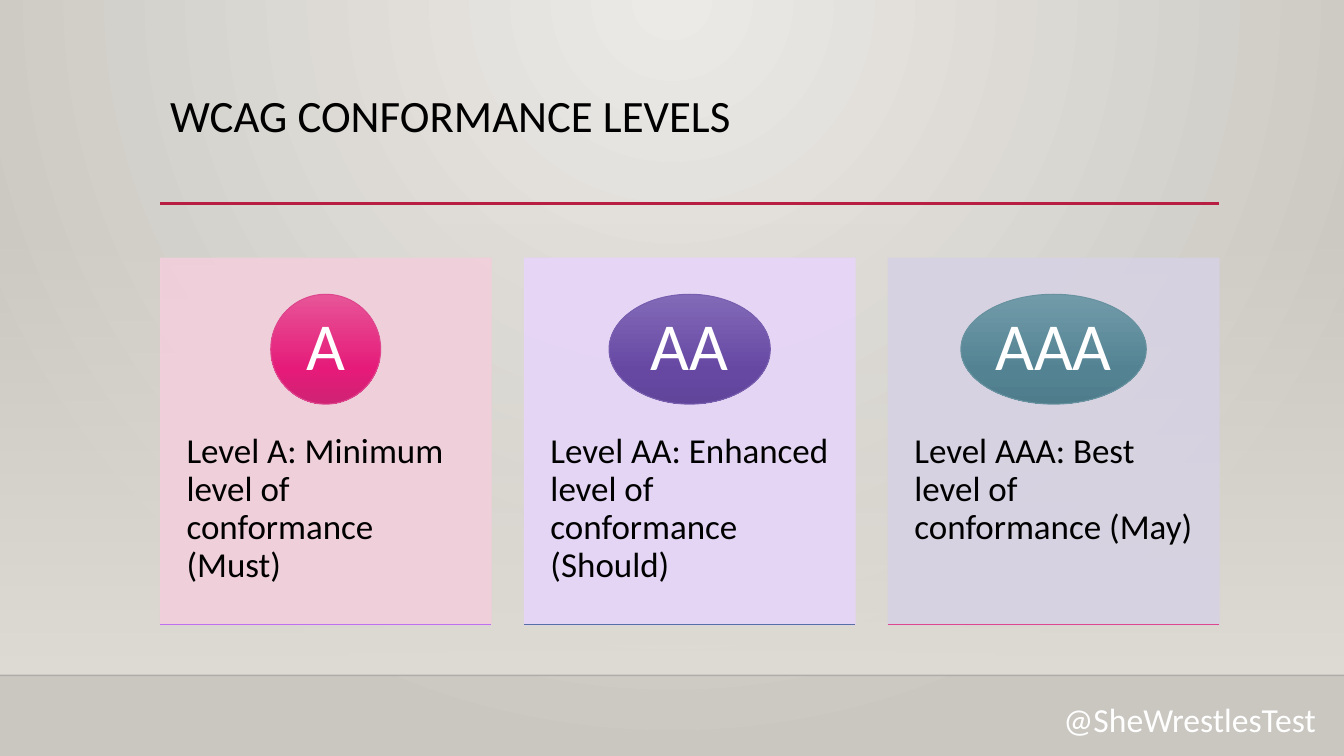
from dataclasses import dataclass

from lxml.etree import SubElement
from pptx import Presentation
from pptx.dml.color import RGBColor
from pptx.enum.shapes import MSO_CONNECTOR, MSO_SHAPE
from pptx.enum.text import MSO_ANCHOR, PP_ALIGN
from pptx.oxml.ns import qn
from pptx.util import Inches, Pt

WIDTH, HEIGHT = Inches(13.33), Inches(7.5)
FONT = "Calibri"
COLORS = {
    "text": "000000", "light": "FFFFFF", "rule": "B71E42", "floor": "000001",
    "back_in": "ECEAE7", "back_out": "CAC7C1", "wall": "DFDBD5",
    "rose": "F2CFDB", "lilac": "E7D5F9", "mist": "D7D2E3",
    "pink_top": "E75597", "pink_mid": "E51A79", "pink_end": "CF2374", "pink": "DE478E",
    "violet_top": "836AB8", "violet_mid": "6648A3", "violet_end": "60459A", "violet": "795FAF",
    "teal_top": "729BA9", "teal_mid": "538393", "teal_end": "4F7C8B", "teal": "6892A0",
    "orchid": "BC72F0", "blue": "586EA6",
}

# Shares of the slide, in percent
LEFT, CONTENT_WIDTH = 11.93, 78.77
CARD_WIDTH, CARD_PITCH, CARD_TOP, CARD_HEIGHT = 24.61, 27.08, 34.13, 48.53
BADGE_TOP, BADGE_HEIGHT = 38.93, 14.53
WALL_TOP, FLOOR_TOP, RULE_TOP = 29.47, 89.33, 26.93


@dataclass(frozen=True)
class Level:
    grade: str
    summary: str
    card: str
    badge: str
    edge: str
    badge_width: float


@dataclass(frozen=True)
class Stop:
    position: int
    color: str
    opacity: int = 100


LEVELS = [
    Level("A", "Level A: Minimum level of conformance (Must)", "rose", "pink", "orchid", 8.18),
    Level("AA", "Level AA: Enhanced level of conformance (Should)", "lilac", "violet", "blue", 12),
    Level("AAA", "Level AAA: Best level of conformance (May)", "mist", "teal", "pink", 13.8),
]


def across(share: float) -> int:
    return round(WIDTH * share / 100)


def down(share: float) -> int:
    return round(HEIGHT * share / 100)


def frame(left: float, top: float, width: float, height: float) -> tuple:
    return across(left), down(top), across(width), down(height)


def rgb(name: str) -> RGBColor:
    return RGBColor.from_string(COLORS[name])


def set_opacity(color_xml, percent: int) -> None:
    if percent < 100:
        SubElement(color_xml, qn("a:alpha"), val=str(percent * 1000))


def set_gradient(fill, owner, stops: list, radial: bool = False) -> None:
    fill.gradient()
    gradient = owner.find(".//" + qn("a:gradFill"))
    for child in list(gradient):
        gradient.remove(child)
    stop_list = SubElement(gradient, qn("a:gsLst"))
    for stop in stops:
        mark = SubElement(stop_list, qn("a:gs"), pos=str(stop.position * 1000))
        color = SubElement(mark, qn("a:srgbClr"), val=COLORS[stop.color])
        set_opacity(color, stop.opacity)
    if radial:
        circle = SubElement(gradient, qn("a:path"), path="circle")
        SubElement(circle, qn("a:fillToRect"), l="43000", t="0", r="43000", b="100000")
    else:
        SubElement(gradient, qn("a:lin"), ang="5400000", scaled="0")


def add_rule(slide, left: float, top: float, width: float, color: str,
             weight: float, opacity: int = 100) -> None:
    rule = slide.shapes.add_connector(
        MSO_CONNECTOR.STRAIGHT, across(left), down(top), across(left + width), down(top))
    rule.line.color.rgb = rgb(color)
    rule.line.width = Pt(weight)
    properties = rule.element.spPr
    set_opacity(properties.find(".//" + qn("a:srgbClr")), opacity)
    SubElement(properties, qn("a:effectLst"))


def write(holder, text: str, size: float, color: str, align=PP_ALIGN.LEFT,
          anchor=MSO_ANCHOR.TOP, wrap: bool = True, spacing: float = 0.9) -> None:
    body = holder.text_frame
    body.text = text
    body.word_wrap = wrap
    body.vertical_anchor = anchor
    paragraph = body.paragraphs[0]
    paragraph.alignment = align
    paragraph.line_spacing = spacing
    font = paragraph.runs[0].font
    font.name, font.size, font.color.rgb = FONT, Pt(size), rgb(color)


def set_insets(holder, left: float, top: float, right: float, bottom: float) -> None:
    body = holder.text_frame
    body.margin_left, body.margin_right = across(left), across(right)
    body.margin_top, body.margin_bottom = down(top), down(bottom)


def add_level(slide, level: Level, left: float) -> None:
    # Card with its summary
    card = slide.shapes.add_shape(
        MSO_SHAPE.RECTANGLE, *frame(left, CARD_TOP, CARD_WIDTH, CARD_HEIGHT))
    card.shadow.inherit = False
    card.fill.solid()
    card.fill.fore_color.rgb = card.line.color.rgb = rgb(level.card)
    card.line.width = Pt(0.75)
    for color in card.element.spPr.iter(qn("a:srgbClr")):
        set_opacity(color, 90)
    write(card, level.summary, 25, "text")
    set_insets(card, 1.95, 23.2, 1.95, 5.73)

    # Oval badge with the grade
    badge_left = left + (CARD_WIDTH - level.badge_width) / 2
    badge = slide.shapes.add_shape(
        MSO_SHAPE.OVAL, *frame(badge_left, BADGE_TOP, level.badge_width, BADGE_HEIGHT))
    badge.shadow.inherit = False
    set_gradient(badge.fill, badge.element.spPr, [
        Stop(0, level.badge + "_top"), Stop(69, level.badge + "_mid"),
        Stop(100, level.badge + "_end")])
    badge.line.color.rgb = rgb(level.badge)
    badge.line.width = Pt(0.75)
    write(badge, level.grade, 48, "light", PP_ALIGN.CENTER, MSO_ANCHOR.MIDDLE, wrap=False)
    set_insets(badge, 0, 0, 0, 0)

    # Bottom edge
    add_rule(slide, left, CARD_TOP + CARD_HEIGHT, CARD_WIDTH, level.edge, 0.75)


def main() -> None:
    deck = Presentation()
    deck.slide_width, deck.slide_height = WIDTH, HEIGHT
    slide = deck.slides.add_slide(deck.slide_layouts[6])

    # Backdrop: wall, floor line and title rule
    set_gradient(slide.background.fill, slide.element,
                 [Stop(0, "back_in"), Stop(100, "back_out")], radial=True)
    wall = slide.shapes.add_shape(
        MSO_SHAPE.RECTANGLE, *frame(0, WALL_TOP, 100, FLOOR_TOP - WALL_TOP))
    wall.shadow.inherit = False
    set_gradient(wall.fill, wall.element.spPr, [Stop(0, "wall", 0), Stop(100, "wall")])
    wall.line.fill.background()
    add_rule(slide, 0, FLOOR_TOP, 100, "floor", 1, opacity=20)
    add_rule(slide, LEFT, RULE_TOP, CONTENT_WIDTH, "rule", 2.5)

    # Title
    title = slide.shapes.add_textbox(*frame(LEFT, 11.73, CONTENT_WIDTH, 15.33))
    write(title, "WCAG CONFORMANCE LEVELS", 32, "text")

    # Conformance levels
    for column, level in enumerate(LEVELS):
        add_level(slide, level, LEFT + column * CARD_PITCH)

    # Speaker handle
    handle = slide.shapes.add_textbox(*frame(78.39, 92.93, 21.6, 4.27))
    write(handle, "@SheWrestlesTest", 24, "light", anchor=MSO_ANCHOR.MIDDLE, spacing=1.0)

    deck.save("out.pptx")


if __name__ == "__main__":
    main()
